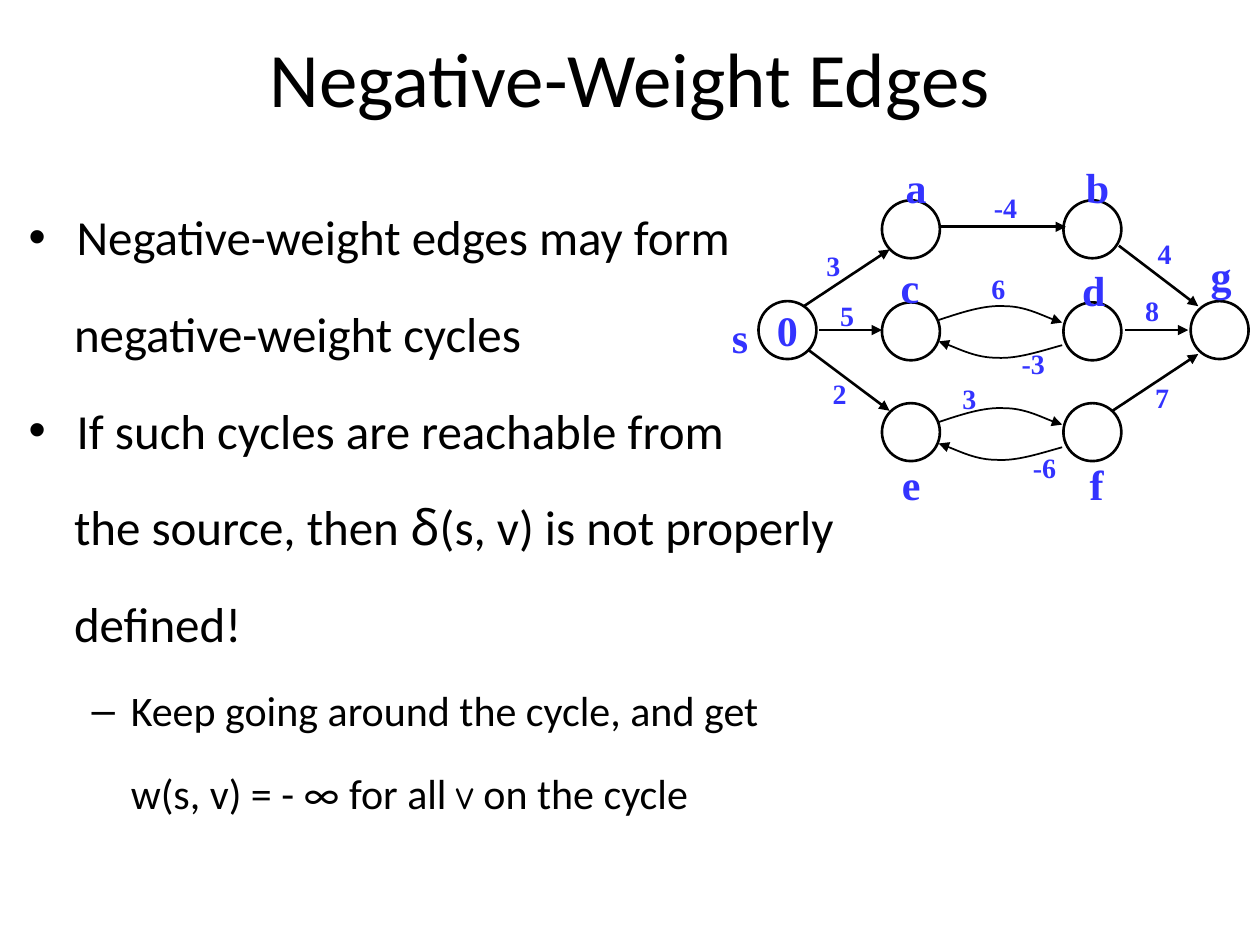
import pptx
import pptx.util
import pptx.dml.color
import pptx.enum.shapes
import pptx.enum.text
import lxml.etree as etree
from pptx.oxml.ns import qn

Inches, Pt = pptx.util.Inches, pptx.util.Pt
ALIGN = pptx.enum.text.PP_ALIGN
MIDDLE = pptx.enum.text.MSO_ANCHOR.MIDDLE
BLACK, BLUE = "000000", "3333FF"
color = pptx.dml.color.RGBColor.from_string


def style(font, name, size, tint, bold=False):
    font.name, font.size, font.bold = name, Pt(size), bold
    font.color.rgb = color(tint)


def outline(shape, width, arrow=False):
    shape.line.color.rgb = color(BLACK)
    shape.line.width = Pt(width)
    props = shape._element.spPr
    if arrow:
        etree.SubElement(shape.line._get_or_add_ln(), qn("a:tailEnd"), type="triangle")
    if props.find(qn("a:effectLst")) is None:
        etree.SubElement(props, qn("a:effectLst"))


deck = pptx.Presentation()
deck.slide_width, deck.slide_height = Inches(10), Inches(7.5)
slide = deck.slides.add_slide(deck.slide_layouts[5])
shapes = slide.shapes

# Title
title = shapes.title
title.left, title.top = Inches(0.5), Inches(-0.02)
title.width, title.height = Inches(9), Inches(1.25)
title.text_frame.text = "Negative-Weight Edges"
title.text_frame.vertical_anchor = MIDDLE
para = title.text_frame.paragraphs[0]
para.alignment = ALIGN.CENTER
style(para.font, "Calibri", 44, BLACK)

# Body: bullet, left margin, first-line indent, size, runs
lines = [
    ("•", 0.38, -0.38, 28, ["Negative-weight edges may form"]),
    (None, 0.36, 0, 28, ["negative-weight cycles"]),
    ("•", 0.38, -0.38, 28, ["If such cycles are reachable from"]),
    (None, 0.36, 0, 28, ["the source, then ", "δ", "(s, v) is not properly"]),
    (None, 0.36, 0, 28, ["defined!"]),
    ("–", 0.81, -0.31, 24, ["Keep going around the cycle, and get"]),
    (None, 0.81, 0, 24, ["w(s, v) = - ∞ for all ", "v", " on the cycle"]),
]
body = shapes.add_textbox(Inches(0.13), Inches(1.36), Inches(7.84), Inches(5.55))
frame = body.text_frame
frame.word_wrap = True
for i, (mark, left, indent, size, runs) in enumerate(lines):
    para = frame.add_paragraph() if i else frame.paragraphs[0]
    para.level = 1 if size == 24 else 0
    para.line_spacing = 1.5
    para.space_before = Pt(size * 0.17)
    props = para._p.get_or_add_pPr()
    props.set("marL", str(Inches(left)))
    props.set("indent", str(Inches(indent)))
    if mark:
        etree.SubElement(props, qn("a:buFont"), typeface="Arial")
        etree.SubElement(props, qn("a:buChar"), char=mark)
    else:
        etree.SubElement(props, qn("a:buNone"))
    style(para.font, "Calibri", size, BLACK)
    for text in runs:
        run = para.add_run()
        run.text = text
        if text in ("δ", "v"):
            run.font.name = "Comic Neue"

# Graph nodes
nodes = [(6.02, 2.39, "0"), (9.45, 2.39, "")]
nodes += [(x, y, "") for y in (1.59, 2.4, 3.2) for x in (7, 8.44)]
for x, y, text in nodes:
    node = shapes.add_shape(pptx.enum.shapes.MSO_SHAPE.OVAL,
                            Inches(x), Inches(y), Inches(0.46), Inches(0.46))
    node.fill.background()
    outline(node, 1.5)
    if text:
        frame = node.text_frame
        frame.text, frame.word_wrap = text, False
        frame.vertical_anchor = MIDDLE
        frame.paragraphs[0].alignment = ALIGN.CENTER
        style(frame.paragraphs[0].font, "Times New Roman", 24, BLUE, True)

# Straight edges
edges = [
    (7.45, 1.8, 8.46, 1.8), (6.38, 2.43, 7.06, 1.98), (6.42, 2.78, 7.06, 3.26),
    (8.88, 1.95, 9.51, 2.43), (8.83, 3.26, 9.51, 2.81),
    (6.5, 2.62, 7, 2.62), (8.93, 2.62, 9.43, 2.62),
]
for edge in edges:
    line = shapes.add_connector(pptx.enum.shapes.MSO_CONNECTOR.STRAIGHT,
                                *[Inches(v) for v in edge])
    outline(line, 1.5, arrow=True)

# Curved edges: a start, then two sets of three Bézier points, for each row
out = [(7.45, 2.54), (7.63, 2.48), (7.81, 2.42), (7.97, 2.43),
       (8.13, 2.43), (8.35, 2.54), (8.43, 2.56)]
back = [(8.43, 2.74), (8.25, 2.79), (8.07, 2.85), (7.91, 2.84),
        (7.75, 2.84), (7.52, 2.73), (7.45, 2.71)]
for drop in (0, 0.81):
    for curve in (out, back):
        spots = [(Inches(x), Inches(y + drop)) for x, y in curve]
        pen = shapes.build_freeform(*spots[0])
        pen.add_line_segments(spots[1:], close=False)
        arc = pen.convert_to_shape()
        arc.fill.background()
        outline(arc, 1, arrow=True)
        track = next(arc._element.iter(qn("a:path")))
        steps = track.findall(qn("a:lnTo"))
        for k in (0, 3):
            bend = etree.SubElement(track, qn("a:cubicBezTo"))
            for step in steps[k:k + 3]:
                bend.append(step[0])
                track.remove(step)

# Edge weights and node names
weights = [
    ("3", 6.46, 1.92), ("-4", 7.79, 1.46), ("2", 6.51, 2.94), ("8", 8.99, 2.28),
    ("-6", 8.1, 3.53), ("-3", 8.01, 2.7), ("3", 7.54, 2.98), ("5", 6.57, 2.32),
    ("6", 7.77, 2.11), ("4", 9.09, 1.83), ("7", 9.07, 2.97),
]
names = [
    ("s", 5.71, 2.42), ("a", 7.09, 1.23), ("b", 8.52, 1.23), ("e", 7.06, 3.59),
    ("f", 8.55, 3.59), ("c", 7.05, 2.03), ("d", 8.49, 2.05), ("g", 9.51, 1.93),
]
for labels, size, high in ((weights, 16, 0.37), (names, 24, 0.4)):
    for text, x, y in labels:
        wide = 0.4 if len(text) == 2 else 0.33
        label = shapes.add_textbox(Inches(x), Inches(y), Inches(wide), Inches(high))
        label.text_frame.text = text
        label.text_frame.word_wrap = False
        style(label.text_frame.paragraphs[0].font, "Times New Roman", size, BLUE, True)

deck.save("out.pptx")
